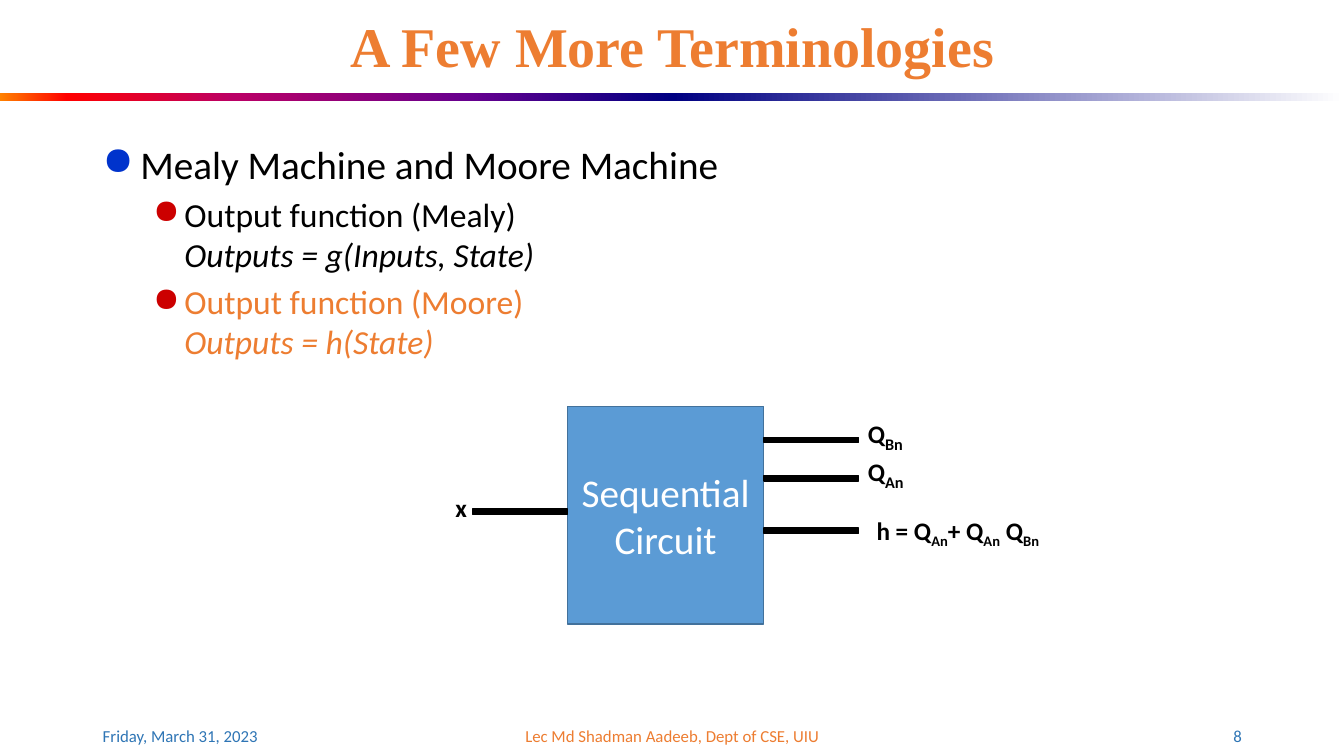
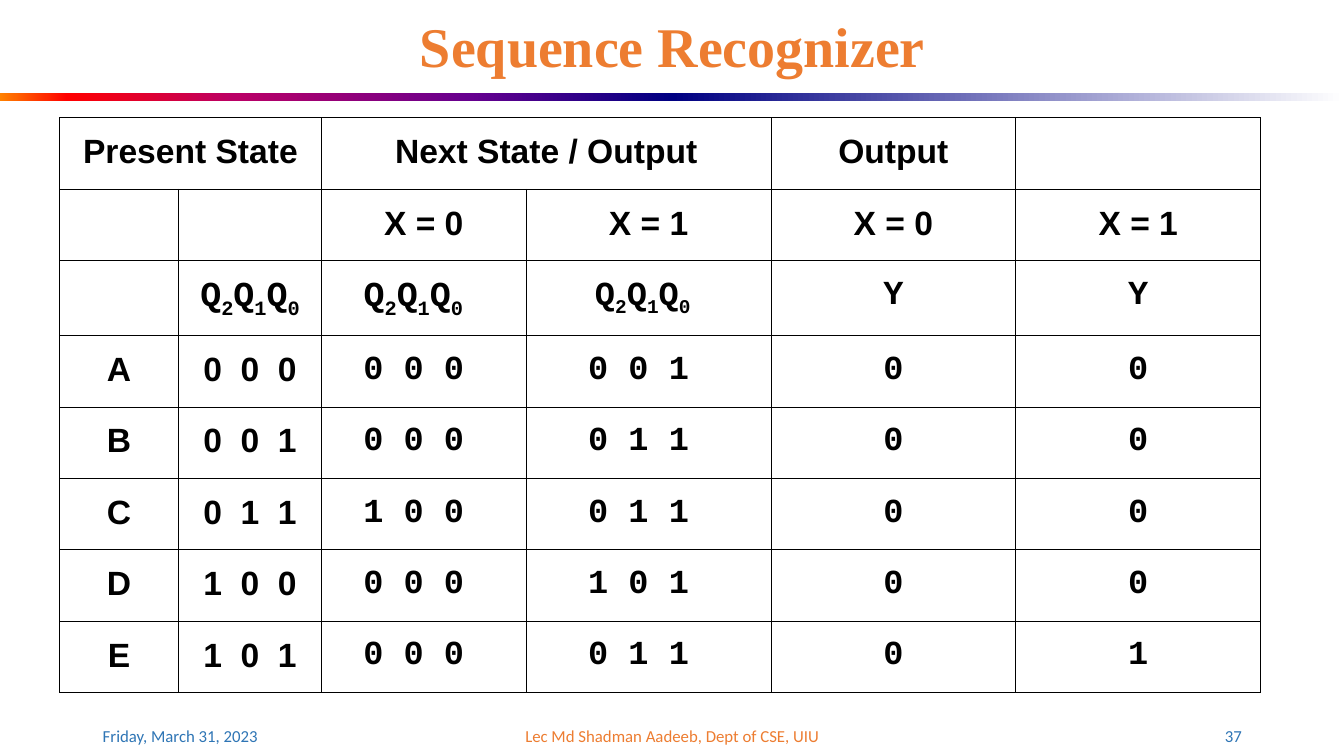
from typing import Any, NamedTuple

from lxml import etree
from pptx import Presentation
from pptx.dml.color import RGBColor
from pptx.enum.shapes import MSO_SHAPE
from pptx.enum.text import MSO_ANCHOR, PP_ALIGN
from pptx.oxml.ns import qn
from pptx.util import Cm, Length, Pt

RECTANGLE = MSO_SHAPE.RECTANGLE
TOP, MIDDLE = MSO_ANCHOR.TOP, MSO_ANCHOR.MIDDLE
LEFT, CENTER, RIGHT = PP_ALIGN.LEFT, PP_ALIGN.CENTER, PP_ALIGN.RIGHT

BLACK = RGBColor(0x00, 0x00, 0x00)
WHITE = RGBColor(0xFF, 0xFF, 0xFF)
ORANGE = RGBColor(0xED, 0x7D, 0x31)
FOOTER_BLUE = RGBColor(0x2E, 0x75, 0xB5)
CIRCUIT_BLUE = RGBColor(0x5B, 0x9B, 0xD5)
CIRCUIT_EDGE = RGBColor(0x42, 0x71, 0x9B)
BULLET_BLUE = RGBColor(0x00, 0x33, 0xCC)
BULLET_RED = RGBColor(0xCC, 0x00, 0x00)
NAVY = RGBColor(0x00, 0x00, 0x82)
BAND_LEFT = [
    (0, RGBColor(0xFF, 0x82, 0x00)),
    (10, RGBColor(0xFF, 0x00, 0x00)),
    (35, RGBColor(0xBA, 0x00, 0x66)),
    (70, RGBColor(0x66, 0x00, 0x8F)),
    (100, NAVY),
]
BAND_RIGHT = [(0, NAVY), (100, WHITE)]

BODY_FONT, TITLE_FONT = "Calibri", "Times New Roman"
TABLE_FONT, BITS_FONT = "Arial", "Courier New"

SLIDE_WIDTH, SLIDE_HEIGHT = Cm(33.87), Cm(19.05)
MARGIN, CONTENT_WIDTH = Cm(2.34), Cm(29.21)
WIRE_WIDTH, WIRE_HEIGHT = Cm(2.39), Cm(0.13)
CIRCUIT_LEFT, CIRCUIT_WIDTH = Cm(14.3), Cm(4.95)
OUTPUT_LEFT = CIRCUIT_LEFT + CIRCUIT_WIDTH


class Footer(NamedTuple):
    text: str
    left: Length
    width: Length
    align: Any
    color: RGBColor


class Signal(NamedTuple):
    """A wire of the circuit and its label; ~marks~ enclose subscripts."""
    label: str
    wire_left: Length
    wire_top: Length
    label_left: Length
    label_top: Length
    label_width: Length
    sub_size: float = 18


class Bullet(NamedTuple):
    text: str
    formula: str
    level: int
    size: float
    color: RGBColor
    bullet_color: RGBColor
    margin: Length
    hanging: Length


SIGNALS = [
    Signal("x", CIRCUIT_LEFT - WIRE_WIDTH, Cm(12.83), Cm(11.23), Cm(12.27), Cm(0.81)),
    Signal("Q~Bn~", OUTPUT_LEFT, Cm(11.02), Cm(21.62), Cm(10.34), Cm(1.5), 20),
    Signal("Q~An~", OUTPUT_LEFT, Cm(11.99), Cm(21.62), Cm(11.3), Cm(1.5), 20),
    Signal("h = Q~An~+ Q~An~ Q~Bn~", OUTPUT_LEFT, Cm(13.31),
           Cm(21.84), Cm(12.85), Cm(4.83)),
]

BULLETS = [
    Bullet("Mealy Machine and Moore Machine", "", 0, 28, BLACK, BULLET_BLUE,
           Cm(0.95), Cm(0.95)),
    Bullet("Output function (Mealy)", "Outputs = g(Inputs, State)", 1, 24, BLACK,
           BULLET_RED, Cm(2.06), Cm(0.79)),
    Bullet("Output function (Moore)", "Outputs = h(State)", 1, 24, ORANGE,
           BULLET_RED, Cm(2.06), Cm(0.79)),
]

STATE_ROW = 2
COLUMN_WIDTHS = [Cm(3), Cm(3.6), Cm(5.16), Cm(6.17), Cm(6.17), Cm(6.17)]
ROW_HEIGHT = Cm(1.8)
STATE_TABLE = [
    ["Present State", "", "Next State / Output", "", "Output", ""],
    ["", "", "X = 0", "X = 1", "X = 0", "X = 1"],
    ["", "Q~2~Q~1~Q~0~", "Q~2~Q~1~Q~0~ ", "Q~2~Q~1~Q~0 ~", "Y", "Y"],
    ["A", "0  0  0", "0 0 0 ", "0 0 1 ", "0", "0"],
    ["B", "0  0  1", "0 0 0 ", "0 1 1 ", "0", "0"],
    ["C", "0  1  1", "1 0 0 ", "0 1 1 ", "0", "0"],
    ["D", "1  0  0", "0 0 0 ", "1 0 1 ", "0", "0"],
    ["E", "1  0  1", "0 0 0 ", "0 1 1 ", "0", "1"],
]


def write(paragraph: Any, text: str, *, size: float, color: RGBColor = BLACK,
          font: str = BODY_FONT, bold: bool = False, italic: bool = False,
          align: Any = LEFT, sub_size: float | None = None) -> None:
    """Add text to a paragraph; parts between ~marks~ become subscripts."""
    paragraph.alignment = align
    for index, part in enumerate(text.split("~")):
        if not part:
            continue
        is_sub = index % 2 == 1
        run = paragraph.add_run()
        run.text = part
        run.font.name = font
        run.font.size = Pt(sub_size if is_sub and sub_size else size)
        run.font.bold, run.font.italic = bold, italic
        run.font.color.rgb = color
        if is_sub:
            run.font._element.set("baseline", "-25000")


def add_box(slide: Any, left: Length, top: Length, width: Length, height: Length,
            anchor: Any = TOP) -> Any:
    """Add an empty wrapping text box and return its text frame."""
    frame = slide.shapes.add_textbox(left, top, width, height).text_frame
    frame.word_wrap = True
    frame.vertical_anchor = anchor
    return frame


def add_rectangle(slide: Any, left: Length, top: Length, width: Length,
                  height: Length, fill: RGBColor | None = None,
                  line: RGBColor | None = None) -> Any:
    shape = slide.shapes.add_shape(RECTANGLE, left, top, width, height)
    shape.shadow.inherit = False
    if fill is not None:
        shape.fill.solid()
        shape.fill.fore_color.rgb = fill
    if line is None:
        shape.line.fill.background()
    else:
        shape.line.color.rgb = line
        shape.line.width = Pt(1)
    return shape


def add_color(parent: Any, color: RGBColor) -> None:
    etree.SubElement(parent, qn("a:srgbClr"), val=str(color))


def fill_gradient(shape: Any, stops: list[tuple[int, RGBColor]]) -> None:
    shape.fill.gradient()
    shape.fill.gradient_angle = 0
    stop_list = shape._element.spPr.find(".//" + qn("a:gsLst"))
    for old_stop in list(stop_list):
        stop_list.remove(old_stop)
    for percent, color in stops:
        add_color(etree.SubElement(stop_list, qn("a:gs"), pos=str(percent * 1000)), color)


def add_frame(slide: Any, title: str, number: int) -> None:
    """Draw the title, colour band and footers shared by the slides."""
    half = SLIDE_WIDTH // 2
    for left, stops in ((0, BAND_LEFT), (half, BAND_RIGHT)):
        fill_gradient(add_rectangle(slide, left, Cm(2.34), half, Cm(0.2)), stops)

    heading = add_box(slide, MARGIN, Cm(0.41), CONTENT_WIDTH, Cm(1.68), MIDDLE).paragraphs[0]
    heading.line_spacing = 0.9
    write(heading, title, size=40, color=ORANGE, font=TITLE_FONT, bold=True, align=CENTER)

    footers = [
        Footer("Friday, March 31, 2023", MARGIN, Cm(7.62), LEFT, FOOTER_BLUE),
        Footer("Lec Md Shadman Aadeeb, Dept of CSE, UIU", Cm(11.23), Cm(11.43),
               CENTER, ORANGE),
        Footer(str(number), Cm(23.93), Cm(7.62), RIGHT, FOOTER_BLUE),
    ]
    for footer in footers:
        frame = add_box(slide, footer.left, Cm(18.03), footer.width, Cm(1.02), MIDDLE)
        write(frame.paragraphs[0], footer.text, size=12, color=footer.color,
              align=footer.align)


def add_bullets(slide: Any, bullets: list[Bullet]) -> None:
    frame = add_box(slide, MARGIN, Cm(3.4), CONTENT_WIDTH, Cm(6.5))
    for index, bullet in enumerate(bullets):
        paragraph = frame.add_paragraph() if index else frame.paragraphs[0]
        paragraph.level = bullet.level
        if index:
            paragraph.space_before = Pt(4.8)
        properties = paragraph._p.get_or_add_pPr()
        properties.set("marL", str(bullet.margin))
        properties.set("indent", str(-bullet.hanging))
        add_color(etree.SubElement(properties, qn("a:buClr")), bullet.bullet_color)
        etree.SubElement(properties, qn("a:buChar"), char="●")
        write(paragraph, bullet.text, size=bullet.size, color=bullet.color)
        if bullet.formula:
            paragraph.add_line_break()
            write(paragraph, bullet.formula, size=bullet.size, color=bullet.color,
                  italic=True)


def add_circuit(slide: Any) -> None:
    circuit = add_rectangle(slide, CIRCUIT_LEFT, Cm(10.24), CIRCUIT_WIDTH, Cm(5.49),
                            CIRCUIT_BLUE, CIRCUIT_EDGE)
    circuit.text_frame.word_wrap = True
    circuit.text_frame.vertical_anchor = MIDDLE
    write(circuit.text_frame.paragraphs[0], "Sequential Circuit", size=28, color=WHITE,
          align=CENTER)
    for signal in SIGNALS:
        add_rectangle(slide, signal.wire_left, signal.wire_top, WIRE_WIDTH, WIRE_HEIGHT,
                      BLACK, BLACK)
        label = add_box(slide, signal.label_left, signal.label_top, signal.label_width,
                        Cm(1.02))
        write(label.paragraphs[0], signal.label, size=18, bold=True,
              sub_size=signal.sub_size)


def style_cell(cell: Any) -> None:
    """Set the margins, clear the fill and draw thin black borders."""
    cell.margin_left = cell.margin_right = Cm(0.18)
    cell.margin_top = cell.margin_bottom = Cm(0.25)
    cell.fill.background()
    properties = cell._tc.get_or_add_tcPr()
    for position, side in enumerate(("lnL", "lnR", "lnT", "lnB")):
        border = etree.Element(qn(f"a:{side}"), w=str(Pt(0.67)))
        add_color(etree.SubElement(border, qn("a:solidFill")), BLACK)
        properties.insert(position, border)


def add_state_table(slide: Any) -> None:
    rows, columns = len(STATE_TABLE), len(COLUMN_WIDTHS)
    table = slide.shapes.add_table(rows, columns, Cm(1.5), Cm(2.97), sum(COLUMN_WIDTHS),
                                   ROW_HEIGHT * rows).table
    table.first_row = table.horz_banding = False
    for column, width in zip(table.columns, COLUMN_WIDTHS):
        column.width = width
    for row in table.rows:
        row.height = ROW_HEIGHT
    for first in (0, 2):
        table.cell(0, first).merge(table.cell(0, first + 1))

    for row_index, values in enumerate(STATE_TABLE):
        for column_index, value in enumerate(values):
            cell = table.cell(row_index, column_index)
            style_cell(cell)
            if not value:
                continue
            in_state_row = row_index == STATE_ROW
            is_bits = in_state_row or (row_index > STATE_ROW and column_index >= 2)
            paragraph = cell.text_frame.paragraphs[0]
            paragraph.line_spacing = 1.15
            paragraph.space_after = Pt(6)
            write(paragraph, value, size=25 if in_state_row and column_index <= 2 else 24,
                  font=BITS_FONT if is_bits else TABLE_FONT, bold=True, align=CENTER)


def main() -> None:
    presentation = Presentation()
    presentation.slide_width, presentation.slide_height = SLIDE_WIDTH, SLIDE_HEIGHT
    blank = presentation.slide_layouts[6]

    terminology = presentation.slides.add_slide(blank)
    add_frame(terminology, "A Few More Terminologies", 8)
    add_bullets(terminology, BULLETS)
    add_circuit(terminology)

    recognizer = presentation.slides.add_slide(blank)
    add_frame(recognizer, "Sequence Recognizer", 37)
    add_state_table(recognizer)

    presentation.save("out.pptx")


if __name__ == "__main__":
    main()
